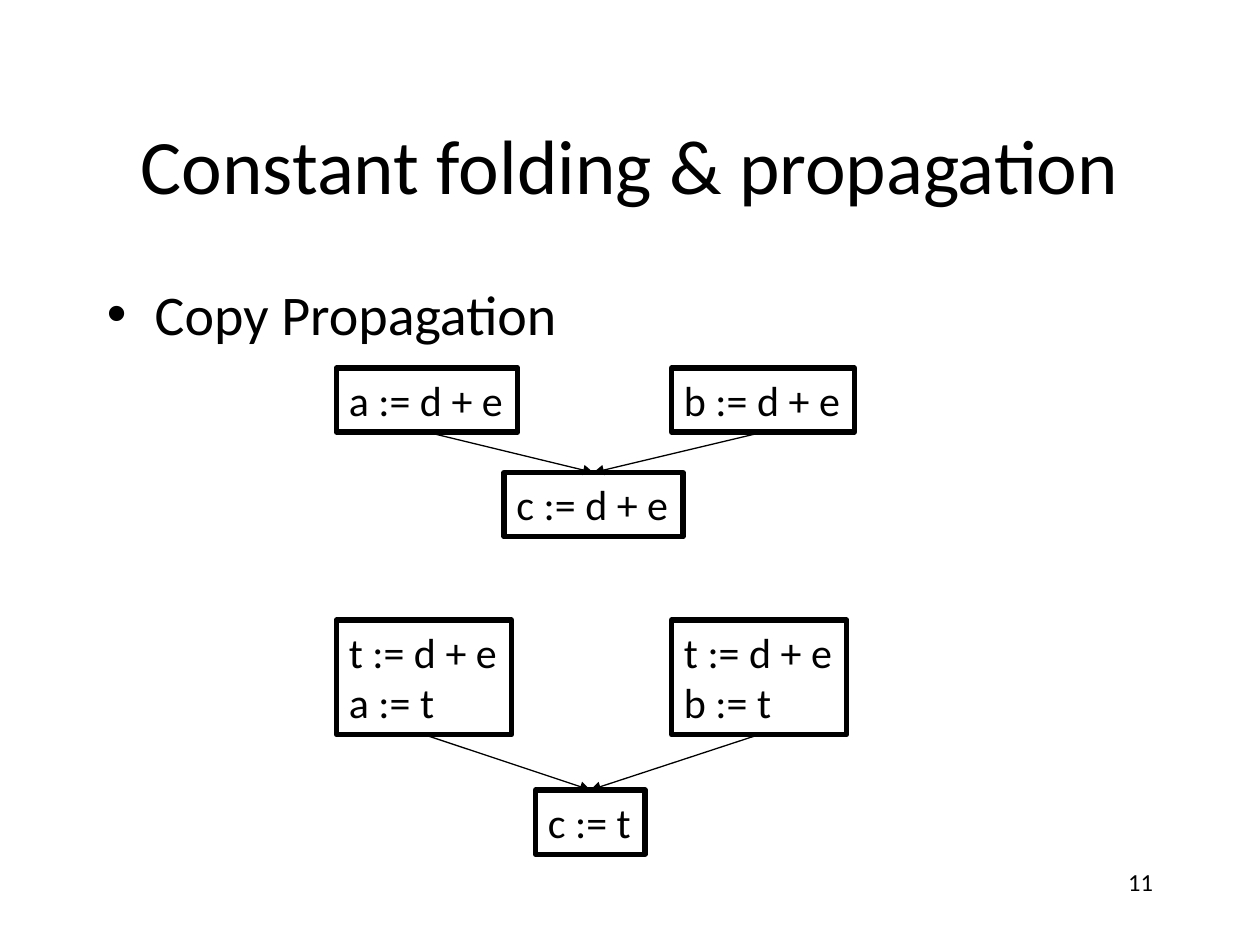
from lxml.etree import SubElement
from pptx import Presentation
from pptx.dml.color import RGBColor
from pptx.enum.shapes import MSO_CONNECTOR, MSO_SHAPE
from pptx.enum.text import MSO_ANCHOR, MSO_AUTO_SIZE, PP_ALIGN
from pptx.oxml.ns import qn
from pptx.util import Inches, Pt

COLORS = {"ink": "000000"}
FONT = "Calibri"
TITLE = "Constant folding & propagation"
TOPIC = "Copy Propagation"
PAGE = "11"

# Each graph: two source blocks, then the block they both flow into.
# Each block: lines of code, (left, top, width, height).
GRAPHS = [
    [
        (["a := d + e"], (2.67, 2.92, 1.44, 0.51)),
        (["b := d + e"], (5.33, 2.92, 1.45, 0.51)),
        (["c := d + e"], (4, 3.75, 1.42, 0.51)),
    ],
    [
        (["t := d + e", "a := t"], (2.67, 4.92, 1.39, 0.91)),
        (["t := d + e", "b := t"], (5.33, 4.92, 1.39, 0.91)),
        (["c := t"], (4.25, 6.27, 0.87, 0.51)),
    ],
]


def ink():
    """Return the colour of text and lines."""
    return RGBColor.from_string(COLORS["ink"])


def write(shape, lines, size, align=PP_ALIGN.LEFT):
    """Fill a shape with one paragraph per line."""
    frame = shape.text_frame
    frame.text = "\n".join(lines)
    for para in frame.paragraphs:
        para.alignment = align
        para.font.size = Pt(size)
        para.font.name = FONT
        para.font.color.rgb = ink()
    return frame


def add_text(slide, text, box, size, align=PP_ALIGN.LEFT, anchor=MSO_ANCHOR.TOP):
    """Add a wrapped text box and return its paragraph."""
    shape = slide.shapes.add_textbox(*map(Inches, box))
    frame = write(shape, [text], size, align)
    frame.word_wrap = True
    frame.vertical_anchor = anchor
    return frame.paragraphs[0]


def add_bullet(para):
    """Give a paragraph a hanging round bullet."""
    props = para._p.get_or_add_pPr()
    props.set("marL", str(Inches(0.38)))
    props.set("indent", str(-Inches(0.38)))
    SubElement(props, qn("a:buFont")).set("typeface", "Arial")
    SubElement(props, qn("a:buChar")).set("char", "•")


def add_block(group, lines, box):
    """Add an outlined block of code."""
    shape = group.shapes.add_shape(MSO_SHAPE.RECTANGLE, *map(Inches, box))
    shape.shadow.inherit = False
    shape.fill.background()
    shape.line.color.rgb = ink()
    shape.line.width = Pt(3)
    frame = write(shape, lines, 24)
    frame.word_wrap = False
    frame.auto_size = MSO_AUTO_SIZE.SHAPE_TO_FIT_TEXT
    frame.vertical_anchor = MSO_ANCHOR.TOP
    return shape


def add_arrow(group, start, end):
    """Draw an arrow from the foot of one block to the top of another."""
    line = group.shapes.add_connector(
        MSO_CONNECTOR.STRAIGHT,
        start.left + start.width // 2, start.top + start.height,
        end.left + end.width // 2, end.top,
    )
    line.line.color.rgb = ink()
    line.line.width = Pt(0.75)
    SubElement(line.line._get_or_add_ln(), qn("a:tailEnd")).set("type", "triangle")
    SubElement(line._element.spPr, qn("a:effectLst"))


def add_graph(slide, blocks):
    """Add one flow graph as a group."""
    group = slide.shapes.add_group_shape()
    *heads, join = [add_block(group, *block) for block in blocks]
    for head in heads:
        add_arrow(group, head, join)


def main():
    """Build and save the slide."""
    deck = Presentation()
    deck.slide_width, deck.slide_height = Inches(10), Inches(7.5)
    slide = deck.slides.add_slide(deck.slide_layouts[6])
    add_text(slide, PAGE, (7.17, 6.83, 2.08, 0.5), 14, PP_ALIGN.RIGHT)
    add_text(slide, TITLE, (0.75, 0.67, 8.5, 1.25), 44,
             PP_ALIGN.CENTER, MSO_ANCHOR.MIDDLE)
    topic = add_text(slide, TOPIC, (0.75, 2.17, 8.5, 4.5), 32)
    topic.space_before = Pt(6.4)
    add_bullet(topic)
    for blocks in GRAPHS:
        add_graph(slide, blocks)
    deck.save("out.pptx")


main()
